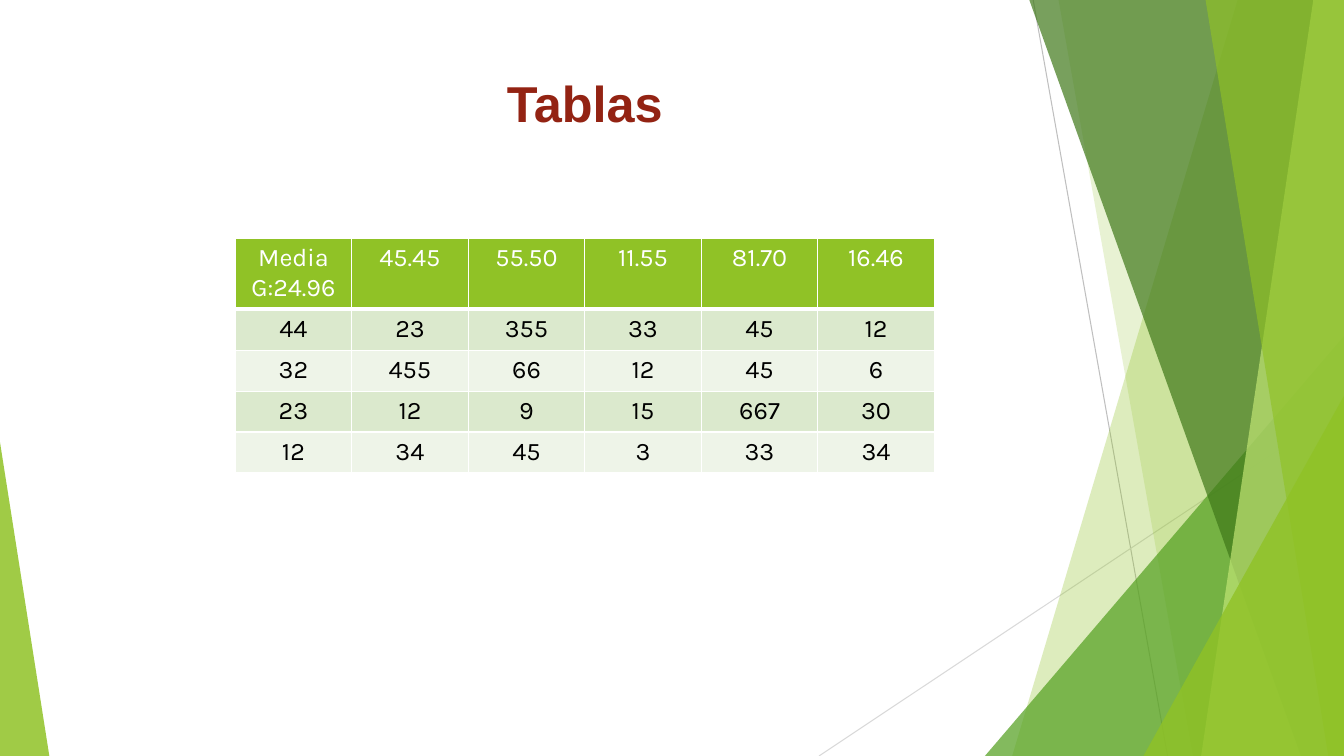
"""Build the "Tablas" slide: faceted green decoration, a title and a data table."""
from dataclasses import dataclass

from lxml import etree
from pptx import Presentation
from pptx import slide as sl
from pptx import table as tb
from pptx import util as u
from pptx.dml import color as dml
from pptx.enum import shapes, text
from pptx.oxml import ns
from pptx.shapes import base
from pptx.text import text as tx

PX = 9525
WIDTH, HEIGHT = 1280, 720
COLORS = {
    "white": "FFFFFF",
    "black": "000000",
    "title": "932313",
    "lime": "90C226",
    "leaf": "54A021",
    "forest": "3F7819",
    "pale": "C0E474",
    "gray": "BFBFBF",
    "light_gray": "D9D9D9",
    "odd_row": "DBE9CD",
    "even_row": "EEF4E8",
}


@dataclass(frozen=True)
class Line:
    start: tuple[int, int]
    end: tuple[int, int]
    color: str


@dataclass(frozen=True)
class Band:
    top_x: int
    bottom_x: int
    color: str
    opacity: int


@dataclass(frozen=True)
class Triangle:
    left: int
    top: int
    width: int
    apex: float
    color: str
    opacity: int


DECORATION = [
    Line((984, 0), (1112, 720), "gray"),
    Line((1280, 387), (780, 720), "light_gray"),
    Band(1179, 964, "lime", 30),
    Band(1008, 1136, "lime", 20),
    Triangle(938, 320, 342, 1, "leaf", 72),
    Band(980, 1239, "forest", 70),
    Band(1251, 1144, "pale", 70),
    Band(1148, 1265, "lime", 65),
    Triangle(1089, 377, 191, 1, "lime", 80),
    Triangle(0, 421, 47, 0, "lime", 85),
]

TABLE_LEFT, TABLE_TOP = 224, 227
COLUMN_WIDTH, HEADER_HEIGHT, ROW_HEIGHT = 111, 65, 39
ROWS = [
    ["Media G:24.96", "45.45", "55.50", "11.55", "81.70", "16.46"],
    ["44", "23", "355", "33", "45", "12"],
    ["32", "455", "66", "12", "45", "6"],
    ["23", "12", "9", "15", "667", "30"],
    ["12", "34", "45", "3", "33", "34"],
]


def emu(px: int) -> u.Emu:
    return u.Emu(px * PX)


def rgb(name: str) -> dml.RGBColor:
    return dml.RGBColor.from_string(COLORS[name])


def paint(shape: base.BaseShape, color: str, opacity: int) -> None:
    shape.shadow.inherit = False
    shape.fill.solid()
    shape.fill.fore_color.rgb = rgb(color)
    shape.line.fill.background()
    tint = shape.element.spPr.find(f"{ns.qn('a:solidFill')}/{ns.qn('a:srgbClr')}")
    etree.SubElement(tint, ns.qn("a:alpha"), val=str(opacity * 1000))


def draw_line(slide: sl.Slide, line: Line) -> None:
    connector = slide.shapes.add_connector(
        shapes.MSO_CONNECTOR.STRAIGHT, *map(emu, line.start + line.end))
    connector.line.color.rgb = rgb(line.color)
    connector.line.width = u.Pt(0.75)
    etree.SubElement(connector.element.spPr, ns.qn("a:effectLst"))


def draw_band(slide: sl.Slide, band: Band) -> None:
    builder = slide.shapes.build_freeform(band.top_x, -1, scale=PX)
    builder.add_line_segments(
        [(WIDTH, -1), (WIDTH, HEIGHT), (band.bottom_x, HEIGHT)], close=True)
    paint(builder.convert_to_shape(), band.color, band.opacity)


def draw_triangle(slide: sl.Slide, triangle: Triangle) -> None:
    shape = slide.shapes.add_shape(
        shapes.MSO_SHAPE.ISOSCELES_TRIANGLE, emu(triangle.left), emu(triangle.top),
        emu(triangle.width), emu(HEIGHT - triangle.top))
    shape.adjustments[0] = triangle.apex
    paint(shape, triangle.color, triangle.opacity)


def write(frame: tx.TextFrame, words: str, font: str, size: int, color: str,
          bold: bool = False) -> None:
    paragraph = frame.paragraphs[0]
    paragraph.alignment = text.PP_ALIGN.CENTER
    run = paragraph.add_run()
    run.text = words
    run.font.name = font
    run.font.size = u.Pt(size)
    run.font.bold = bold
    run.font.color.rgb = rgb(color)


def draw_title(slide: sl.Slide) -> None:
    box = slide.shapes.add_textbox(emu(TABLE_LEFT), emu(64), emu(666), emu(114))
    box.text_frame.word_wrap = True
    write(box.text_frame, "Tablas", "Arial", 36, "title", bold=True)


def set_borders(cell: tb._Cell, bottom: int) -> None:
    properties = cell._tc.get_or_add_tcPr()
    for side, points in (("L", 1), ("R", 1), ("T", 1), ("B", bottom)):
        border = etree.SubElement(
            properties, ns.qn(f"a:ln{side}"), w=str(u.Pt(points)))
        fill = etree.SubElement(border, ns.qn("a:solidFill"))
        etree.SubElement(fill, ns.qn("a:srgbClr"), val=COLORS["white"])


def draw_table(slide: sl.Slide) -> None:
    heights = [HEADER_HEIGHT] + [ROW_HEIGHT] * (len(ROWS) - 1)
    columns = len(ROWS[0])
    table = slide.shapes.add_table(
        len(ROWS), columns, emu(TABLE_LEFT), emu(TABLE_TOP),
        emu(COLUMN_WIDTH * columns), emu(sum(heights))).table
    for column in table.columns:
        column.width = emu(COLUMN_WIDTH)
    for row_index, (height, values) in enumerate(zip(heights, ROWS)):
        table.rows[row_index].height = emu(height)
        header = row_index == 0
        fill = "lime" if header else "odd_row" if row_index % 2 else "even_row"
        for column_index, value in enumerate(values):
            cell = table.cell(row_index, column_index)
            cell.margin_left = cell.margin_right = emu(8)
            cell.margin_top = cell.margin_bottom = emu(5)
            set_borders(cell, 3 if header else 1)
            cell.fill.solid()
            cell.fill.fore_color.rgb = rgb(fill)
            write(cell.text_frame, value, "Karla", 18, "white" if header else "black")


def main() -> None:
    presentation = Presentation()
    presentation.slide_width, presentation.slide_height = emu(WIDTH), emu(HEIGHT)
    slide = presentation.slides.add_slide(presentation.slide_layouts[6])
    painters = {Line: draw_line, Band: draw_band, Triangle: draw_triangle}
    for item in DECORATION:
        painters[type(item)](slide, item)
    draw_title(slide)
    draw_table(slide)
    presentation.save("out.pptx")


if __name__ == "__main__":
    main()
